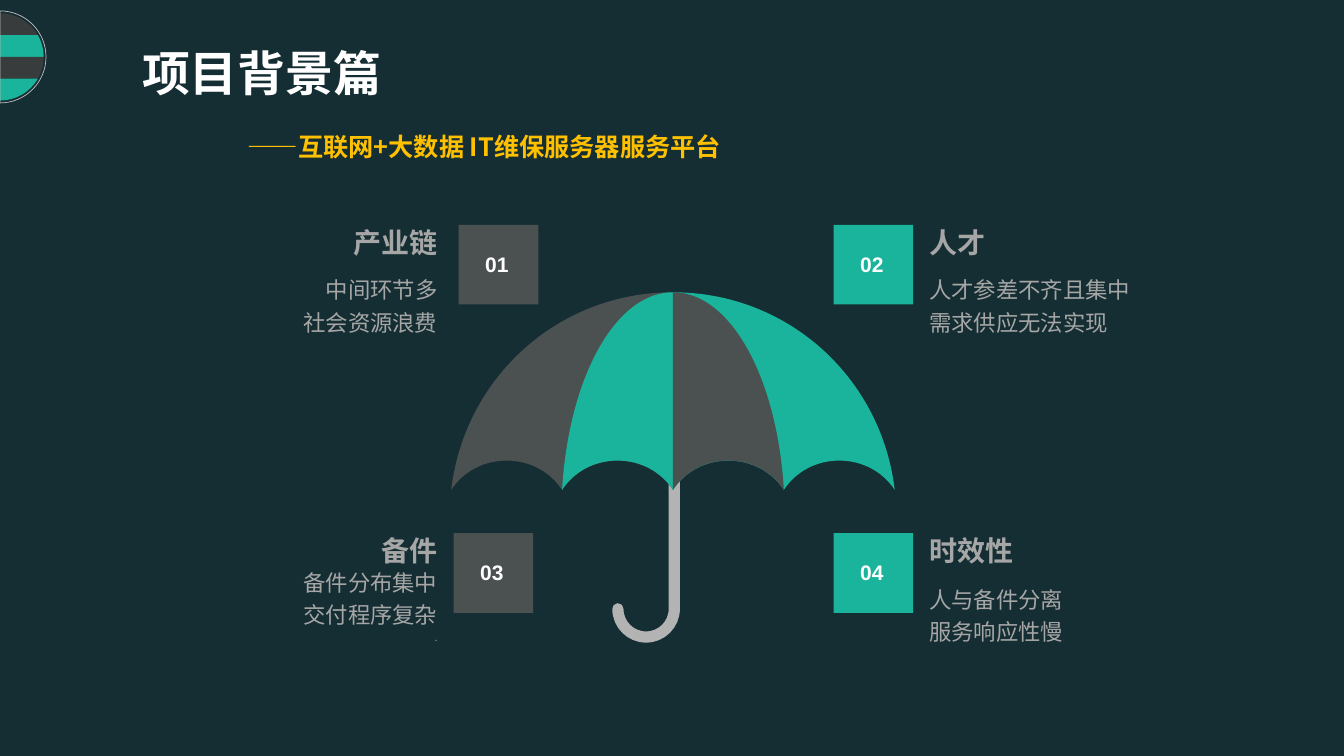
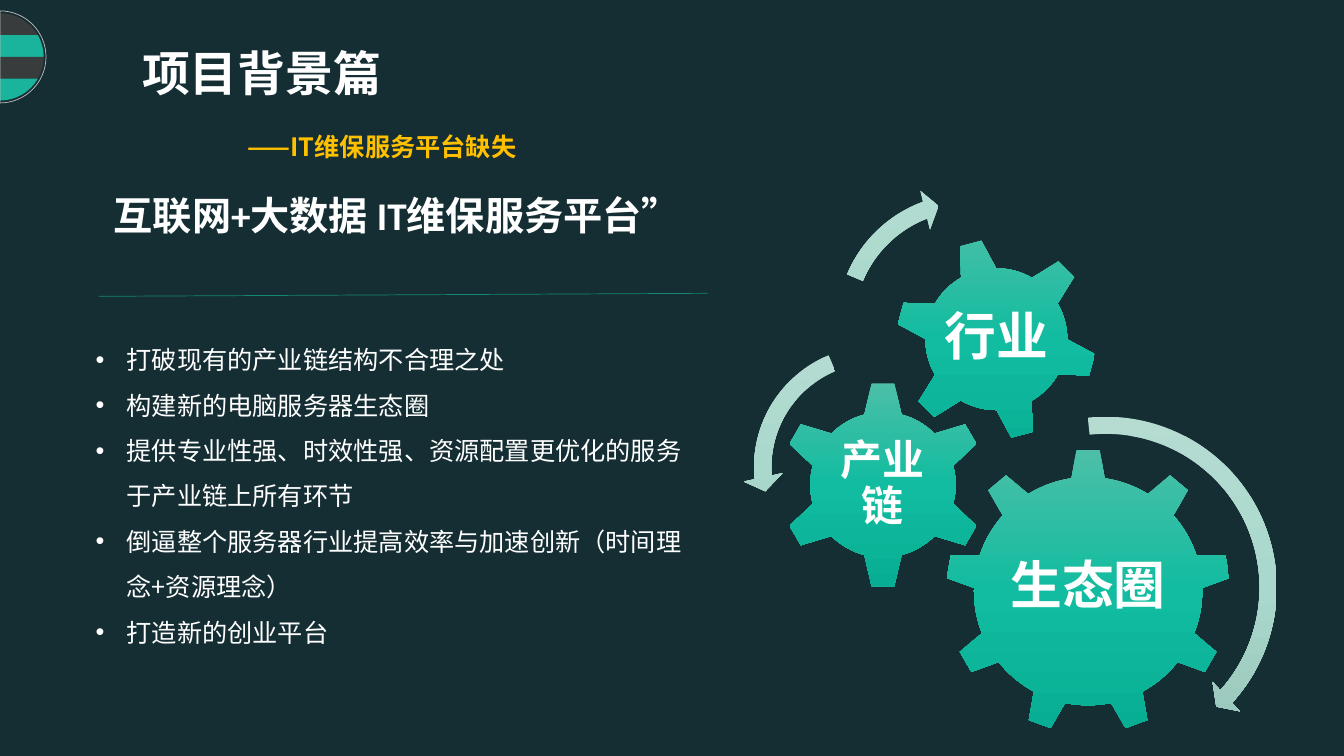
import math
from dataclasses import dataclass

import pptx
import pptx.dml.color
import pptx.enum.shapes
import pptx.enum.text
import pptx.oxml.ns
import pptx.util

SHAPE = pptx.enum.shapes.MSO_SHAPE
ALIGN = pptx.enum.text.PP_ALIGN
ANCHOR = pptx.enum.text.MSO_ANCHOR
qn = pptx.oxml.ns.qn

# Grid: 80 columns by 45 rows of square cells
COLS, ROWS = 80, 45
CELL = pptx.util.Inches(13.333) / COLS


@dataclass(frozen=True)
class Theme:
    back: str = "152E33"
    teal: str = "19B49B"
    grey: str = "4B5050"
    dark: str = "383C3C"
    ring: str = "BFBFBF"
    handle: str = "B3B3B3"
    muted: str = "A6A6A6"
    white: str = "FFFFFF"
    gold: str = "FFC000"
    rule: str = "138774"
    gear: tuple = ("4DBFA8", "11BCA0", "08AE93")
    arrow: tuple = ("B6DCD2", "AAD8CC", "94C3B6")
    sans: str = "Arial"
    latin: str = "Calibri"
    cjk: str = "Noto Sans CJK SC"
    title: float = 34.13
    heading: int = 28
    card: int = 20
    body: int = 18
    small: int = 16
    number: int = 15
    dot: float = 7.6


T = Theme()


# Basics
def cells(*values):
    return [round(v * CELL) for v in values]


def rgb(color):
    return pptx.dml.color.RGBColor.from_string(color)


def paint(sp, fill=None, line=None, width=0.5):
    sp.shadow.inherit = False
    if fill is None:
        sp.fill.background()
    elif isinstance(fill, tuple):
        gradient(sp, fill)
    else:
        sp.fill.solid()
        sp.fill.fore_color.rgb = rgb(fill)
    if line is None:
        sp.line.fill.background()
    else:
        sp.line.color.rgb = rgb(line)
        sp.line.width = pptx.util.Pt(width)
    return sp


def gradient(sp, colors):
    """Vertical gradient with evenly spaced stops, upright on rotated shapes."""
    sp.fill.gradient()
    sp.fill.gradient_angle = 270
    stops = sp._element.spPr.find(".//" + qn("a:gsLst"))
    stops.getparent().set("rotWithShape", "0")
    while len(stops) < len(colors):
        stops.append(stops.makeelement(qn("a:gs"), {"pos": "0"}))
    for i, (stop, color) in enumerate(zip(sp.fill.gradient_stops, colors)):
        stop.position = i / (len(colors) - 1)
        stop.color.rgb = rgb(color)


def shape(slide, kind, x, y, w, h, fill, adj=(), rot=0):
    sp = slide.shapes.add_shape(kind, *cells(x, y, w, h))
    for i, value in enumerate(adj):
        sp.adjustments[i] = value
    sp.rotation = rot
    return paint(sp, fill)


def outline(slide, start, segments, close=True, **style):
    """Segments of one point are lines, of three points Bezier curves."""
    fb = slide.shapes.build_freeform(*cells(*start), scale=1.0)
    fb.add_line_segments([cells(*pt) for seg in segments for pt in seg], close=close)
    sp = fb.convert_to_shape()
    steps = iter(sp._element.findall(".//" + qn("a:lnTo")))
    for seg in segments:
        group = [next(steps) for _ in seg]
        if len(group) == 3:
            curve = group[0].makeelement(qn("a:cubicBezTo"), {})
            group[0].addprevious(curve)
            for step in group:
                curve.append(step[0])
                step.getparent().remove(step)
    return paint(sp, **style)


def arc(cx, cy, radius, start, end):
    """Start point and curve of a circular arc of at most 90 degrees."""
    a, b = math.radians(start), math.radians(end)
    k = 4 / 3 * math.tan((b - a) / 4)

    def at(angle, pull):
        return (cx + radius * (math.cos(angle) - pull * math.sin(angle)),
                cy + radius * (math.sin(angle) + pull * math.cos(angle)))
    return at(a, 0), (at(a, k), at(b, -k), at(b, 0))


# Text
def write(sp, *lines, size, color=T.white, font=T.sans, bold=False, align=ALIGN.LEFT,
          anchor=ANCHOR.TOP, spacing=1.0, inset=(0, 0), bullet=False):
    tf = sp.text_frame
    tf.word_wrap = True
    tf.vertical_anchor = anchor
    tf.margin_left = tf.margin_right = pptx.util.Inches(inset[0])
    tf.margin_top = tf.margin_bottom = pptx.util.Inches(inset[1])
    for i, line in enumerate(lines):
        p = tf.add_paragraph() if i else tf.paragraphs[0]
        p.alignment = align
        p.line_spacing = spacing
        if bullet:
            add_bullet(p, pptx.util.Inches(0.31))
        r = p.add_run()
        r.text = line
        r.font.size = pptx.util.Pt(size)
        r.font.bold = bold
        r.font.name = font
        r.font.color.rgb = rgb(color)
        rpr = r._r.get_or_add_rPr()
        rpr.find(qn("a:latin")).addnext(rpr.makeelement(qn("a:ea"), {"typeface": T.cjk}))
    return tf


def add_bullet(p, indent):
    ppr = p._p.get_or_add_pPr()
    ppr.set("marL", str(indent))
    ppr.set("indent", str(-indent))
    ppr.append(ppr.makeelement(qn("a:buFont"), {"typeface": T.sans}))
    ppr.append(ppr.makeelement(qn("a:buChar"), {"char": "•"}))


def text(slide, box, *lines, **fmt):
    return write(slide.shapes.add_textbox(*cells(*box)), *lines, **fmt)


# Shared frame: striped half disc, title, subtitle
def striped_disc(slide, cy=3.39, radius=2.6, stripes=4):
    step = 2 * radius / stripes
    for i in range(stripes):
        top, bottom = -radius + i * step, -radius + (i + 1) * step
        start, end = (math.degrees(math.asin(v / radius)) for v in (top, bottom))
        first, edge = arc(0, cy, radius, start, end)
        outline(slide, (0, cy + bottom), [((0, cy + top),), (first,), edge],
                fill=T.teal if i % 2 else T.dark)
    first, upper = arc(0, cy, 2.74, -90, 0)
    _, lower = arc(0, cy, 2.74, 0, 90)
    outline(slide, first, [upper, lower], line=T.ring)


def new_slide(prs, subtitle):
    slide = prs.slides.add_slide(prs.slide_layouts[6])
    striped_disc(slide)
    text(slide, (8.46, 2.58, 14.4, 3.42), "项目背景篇", size=T.title, bold=True,
         anchor=ANCHOR.MIDDLE)
    text(slide, (14.16, 7.5, 30.3, 2.4), subtitle, size=T.body, color=T.gold,
         font=T.cjk, bold=True, inset=(0.1, 0.05))
    return slide


# Umbrella slide
def umbrella(slide):
    cx, top, rim, span = 40.06, 17.4, 29.16, 6.6
    crest = rim - 1.74

    def panel(side, count, fill):
        def x(d):
            return cx + side * d
        w = count * span
        segs = [((x(0.52 * w), top), (x(0.94 * w), 22.5), (x(w), rim))]
        for i in range(count, 0, -1):
            a, mid, b = i * span, (i - 0.5) * span, (i - 1) * span
            segs += [((x(a - 0.72), crest + 0.66), (x(a - 1.92), crest), (x(mid), crest)),
                     ((x(b + 1.92), crest), (x(b + 0.72), crest + 0.66), (x(b), rim))]
        outline(slide, (cx, top), segs, fill=fill)

    first, left = arc(38.46, 36.24, 1.68, 180, 90)
    _, right = arc(38.46, 36.24, 1.68, 90, 0)
    sp = outline(slide, first, [left, right, ((40.14, 22.68),)], close=False,
                 line=T.handle, width=8)
    sp.line._get_or_add_ln().set("cap", "rnd")
    panel(1, 2, T.teal)
    panel(-1, 2, T.grey)
    panel(-1, 1, T.teal)
    panel(1, 1, T.grey)


def card(slide, number, x, y, heading, lines, drop=2.76, left=False):
    side = 4.74
    edge, w, head_w = (26.04, 15, 8.52) if left else (55.32, 15, 10)
    fmt = dict(color=T.muted, spacing=1.2, align=ALIGN.RIGHT if left else ALIGN.LEFT)
    text(slide, (edge - left * head_w, y - 1.02, head_w, 2.22), heading, size=T.card,
         bold=True, inset=(0, 0.11), **fmt)
    tf = text(slide, (edge - left * w, y + drop, w, 3.9), *lines, size=T.small, **fmt)
    shape(slide, SHAPE.RECTANGLE, x, y, side, side, T.grey if left else T.teal)
    text(slide, (x + 0.36, y + 0.6, 3.84, 3.18), number, size=T.number, bold=True,
         align=ALIGN.CENTER, anchor=ANCHOR.MIDDLE, spacing=1.2, inset=(0, 0.11))
    return tf


def background_slide(prs):
    slide = new_slide(prs, "——互联网+大数据 IT维保服务器服务平台")
    umbrella(slide)
    upper, lower, right = 13.38, 31.74, 49.62
    card(slide, "01", 27.3, upper, "产业链", ["中间环节多", "社会资源浪费"], left=True)
    card(slide, "02", right, upper, "人才", ["人才参差不齐且集中", "需求供应无法实现"])
    tf = card(slide, "03", 27, lower, "备件", ["备件分布集中", "交付程序复杂", "."],
              drop=1.8, left=True)
    tf.paragraphs[-1].runs[0].font.size = pptx.util.Pt(T.dot)
    card(slide, "04", right, lower, "时效性", ["人与备件分离", "服务响应性慢"], drop=2.82)


# Gear slide
def gear(slide, kind, x, y, size, label, label_size, share=0.6, rot=0, lift=0):
    shape(slide, kind, x, y, size, size, T.gear, rot=rot)
    w, pad = size * share, size * (1 - share) / 2
    text(slide, (x + pad, y + pad - lift, w, w), label, size=label_size, font=T.cjk,
         bold=True, align=ALIGN.CENTER, anchor=ANCHOR.MIDDLE, spacing=0.9,
         inset=(0.04, 0.04))


def rule(slide, x1, y1, x2, y2):
    line = slide.shapes.add_connector(pptx.enum.shapes.MSO_CONNECTOR.STRAIGHT,
                                      *cells(x1, y1, x2, y2))
    line.line.color.rgb = rgb(T.rule)
    line.line.width = pptx.util.Pt(0.5)
    sppr = line._element.spPr
    sppr.append(sppr.makeelement(qn("a:effectLst"), {}))


def platform_slide(prs):
    slide = new_slide(prs, "——IT维保服务平台缺失")
    gear(slide, SHAPE.GEAR_9, 56.28, 26.7, 16.98, "生态圈", 37, lift=0.18)
    gear(slide, SHAPE.GEAR_6, 46.38, 22.68, 12.36, "产业链", 30, share=0.5)
    gear(slide, SHAPE.GEAR_6, 53.28, 14.16, 12.06, "行业", 37, rot=345)
    arrows = [
        (SHAPE.CIRCULAR_ARROW, 54.96, 24.12, 21.72, (0.047, 2.99, 25.27, 158.38, 0.055), 0),
        (SHAPE.LEFT_CIRCULAR_ARROW, 44.22, 19.92, 15.78, (0.065, 4.3, 104.89, 148.38, 0.075), 0),
        (SHAPE.CIRCULAR_ARROW, 49.14, 10.86, 16.98, (0.06, 3.94, 133.14, 105.08, 0.07), 27.6),
    ]
    for kind, x, y, size, adj, rot in arrows:
        shape(slide, kind, x, y, size, size, T.arrow, adj, rot)
    text(slide, (5.1, 19.32, 36.36, 21.48),
         "打破现有的产业链结构不合理之处",
         "构建新的电脑服务器生态圈",
         "提供专业性强、时效性强、资源配置更优化的服务于产业链上所有环节",
         "倒逼整个服务器行业提高效率与加速创新（时间理念+资源理念）",
         "打造新的创业平台",
         size=T.body, font=T.cjk, spacing=1.5, inset=(0.1, 0.05), bullet=True)
    text(slide, (6.18, 11.1, 35.28, 3.42), "互联网+大数据 IT维保服务平台”",
         size=T.heading, font=T.latin, bold=True, inset=(0.1, 0.05))
    rule(slide, 5.88, 17.64, 42.12, 17.46)


def main():
    prs = pptx.Presentation()
    prs.slide_width, prs.slide_height = cells(COLS, ROWS)
    fill = prs.slide_master.background.fill
    fill.solid()
    fill.fore_color.rgb = rgb(T.back)
    background_slide(prs)
    platform_slide(prs)
    prs.save("out.pptx")


if __name__ == "__main__":
    main()
